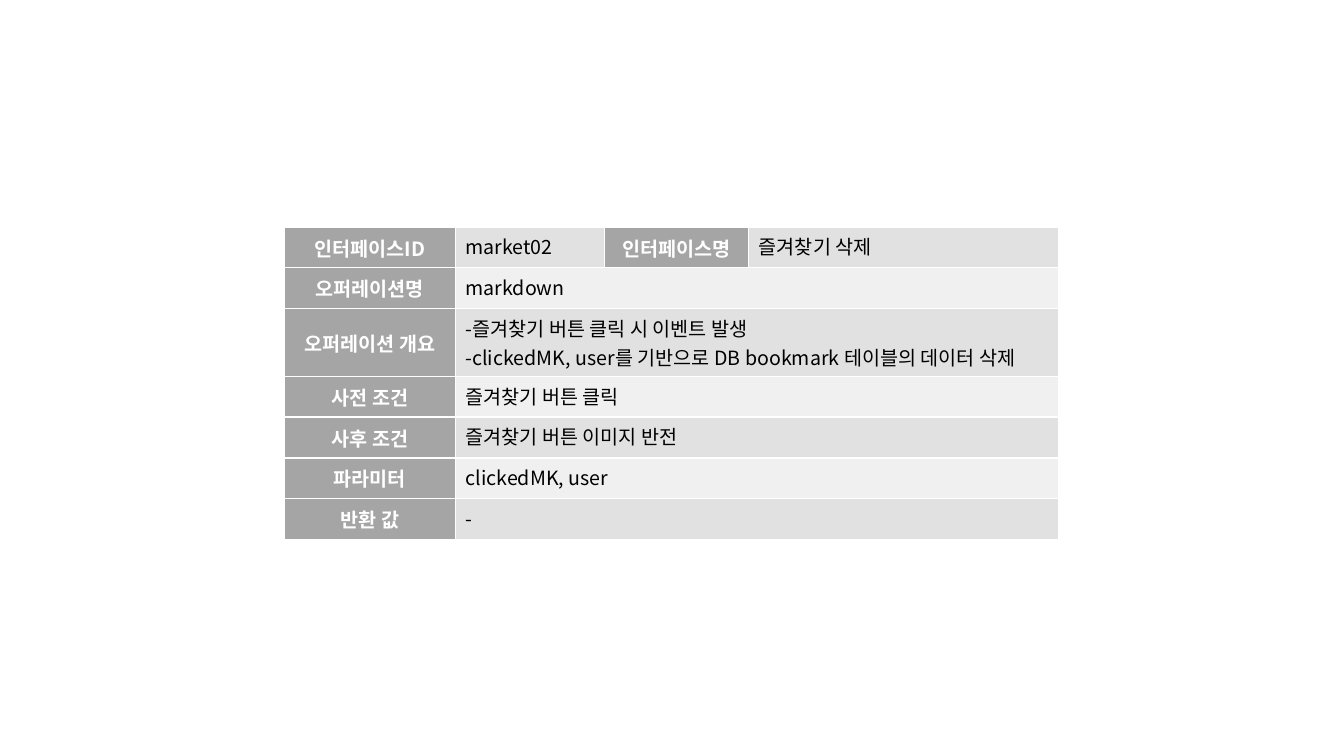
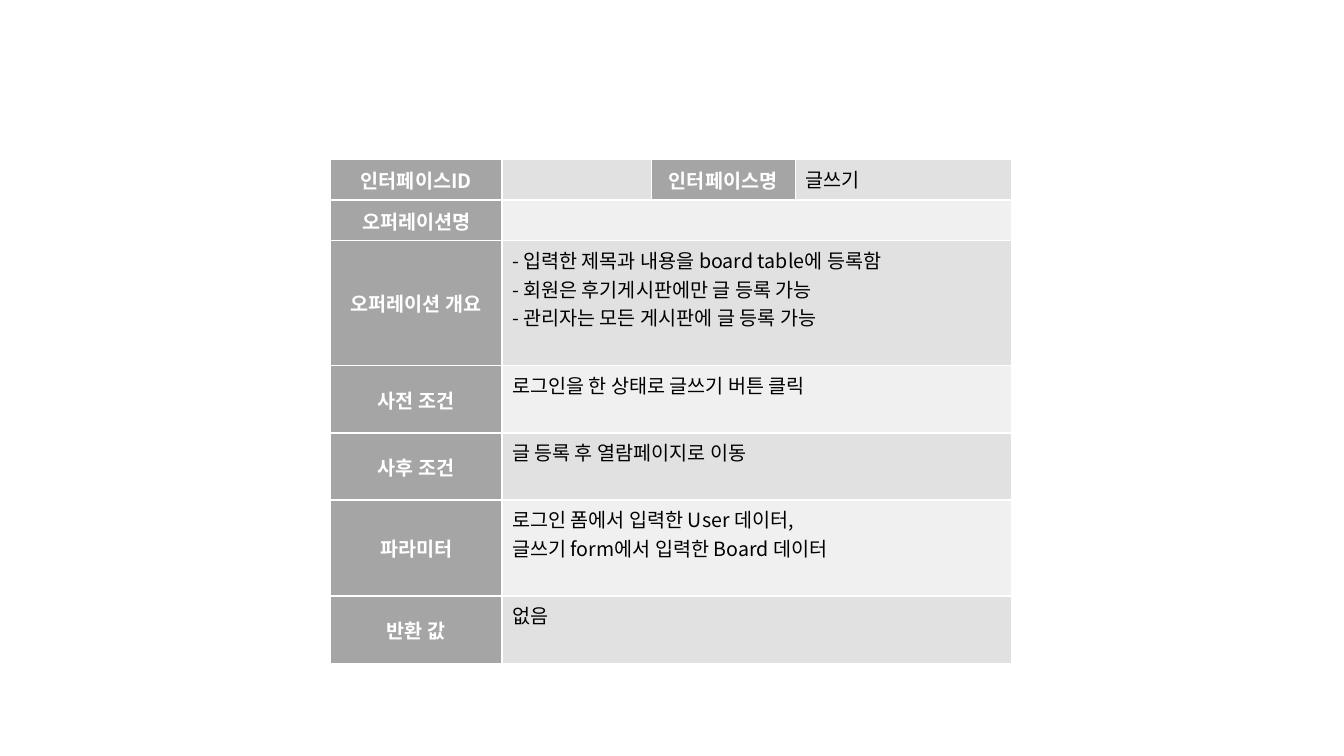
import pptx
import pptx.dml.color
import pptx.enum.text
import pptx.oxml.ns
import pptx.util
from lxml import etree

Cm = pptx.util.Cm
qn = pptx.oxml.ns.qn

FONT = "Noto Sans CJK KR"
WHITE, BLACK = "FFFFFF", "000000"
LABEL_FILL = "A5A5A5"
BANDS = ("E1E1E1", "F0F0F0")
LABEL_WIDTHS = (4.32, 3.76, 3.63)
LINE_ROW = 1.03

ID_LABEL, NAME_LABEL = "인터페이스ID", "인터페이스명"
DETAIL_LABELS = ("오퍼레이션명", "오퍼레이션 개요", "사전 조건",
                 "사후 조건", "파라미터", "반환 값")


def color(value):
    return pptx.dml.color.RGBColor.from_string(value)


def add_borders(cell):
    """Thin white rule on all four sides."""
    props = cell._tc.get_or_add_tcPr()
    for index, side in enumerate(("lnL", "lnR", "lnT", "lnB")):
        line = etree.Element(qn("a:" + side), w=str(pptx.util.Pt(1)))
        fill = etree.SubElement(line, qn("a:solidFill"))
        etree.SubElement(fill, qn("a:srgbClr"), val=WHITE)
        props.insert(index, line)


def style_cell(cell, text, fill, is_label=False):
    cell.text = text
    cell.fill.solid()
    cell.fill.fore_color.rgb = color(fill)
    if is_label:
        cell.vertical_anchor = pptx.enum.text.MSO_ANCHOR.MIDDLE
    for paragraph in cell.text_frame.paragraphs:
        if is_label:
            paragraph.alignment = pptx.enum.text.PP_ALIGN.CENTER
        font = paragraph.font
        font.name = FONT
        font.size = pptx.util.Pt(14)
        font.bold = is_label
        font.color.rgb = color(WHITE if is_label else BLACK)
        # Korean text takes the East Asian typeface
        etree.SubElement(font._element, qn("a:ea"), typeface=FONT)
    add_borders(cell)


def add_interface_table(slide, left, top, name_width, heights,
                        interface_id, interface_name, details):
    widths = LABEL_WIDTHS + (name_width,)
    table = slide.shapes.add_table(
        len(heights), len(widths), Cm(left), Cm(top),
        Cm(sum(widths)), Cm(sum(heights))).table
    table.first_row = table.horz_banding = False
    for column, width in zip(table.columns, widths):
        column.width = Cm(width)
    for row, height in zip(table.rows, heights):
        row.height = Cm(height)

    # Identification row
    heading = (ID_LABEL, interface_id, NAME_LABEL, interface_name)
    for index, text in enumerate(heading):
        is_label = index % 2 == 0
        style_cell(table.cell(0, index), text,
                   LABEL_FILL if is_label else BANDS[0], is_label)

    # Detail rows, each value across the remaining columns
    for row, (label, value) in enumerate(zip(DETAIL_LABELS, details), 1):
        style_cell(table.cell(row, 0), label, LABEL_FILL, True)
        table.cell(row, 1).merge(table.cell(row, 3))
        for column in (1, 2, 3):
            style_cell(table.cell(row, column), value if column == 1 else "",
                       BANDS[row % 2])


def main():
    deck = pptx.Presentation()
    deck.slide_width, deck.slide_height = Cm(33.87), Cm(19.05)
    blank = deck.slide_layouts[6]

    # Deleting a bookmark
    add_interface_table(
        deck.slides.add_slide(blank), 7.16, 5.72, 7.82,
        [LINE_ROW] * 2 + [1.7] + [LINE_ROW] * 4,
        "market02", "즐겨찾기 삭제",
        ("markdown",
         "-즐겨찾기 버튼 클릭 시 이벤트 발생\n"
         "-clickedMK, user를 기반으로 DB bookmark 테이블의 데이터 삭제",
         "즐겨찾기 버튼 클릭",
         "즐겨찾기 버튼 이미지 반전",
         "clickedMK, user",
         "-"))

    # Writing a post
    add_interface_table(
        deck.slides.add_slide(blank), 8.33, 4.01, 5.46,
        [LINE_ROW] * 2 + [3.15, 1.69, 1.69, 2.42, 1.69],
        "", "글쓰기",
        ("",
         "- 입력한 제목과 내용을 board table에 등록함\n"
         "- 회원은 후기게시판에만 글 등록 가능\n"
         "- 관리자는 모든 게시판에 글 등록 가능",
         "로그인을 한 상태로 글쓰기 버튼 클릭",
         "글 등록 후 열람페이지로 이동",
         "로그인 폼에서 입력한 User 데이터,\n"
         "글쓰기 form에서 입력한 Board 데이터",
         "없음"))

    deck.save("out.pptx")


main()
